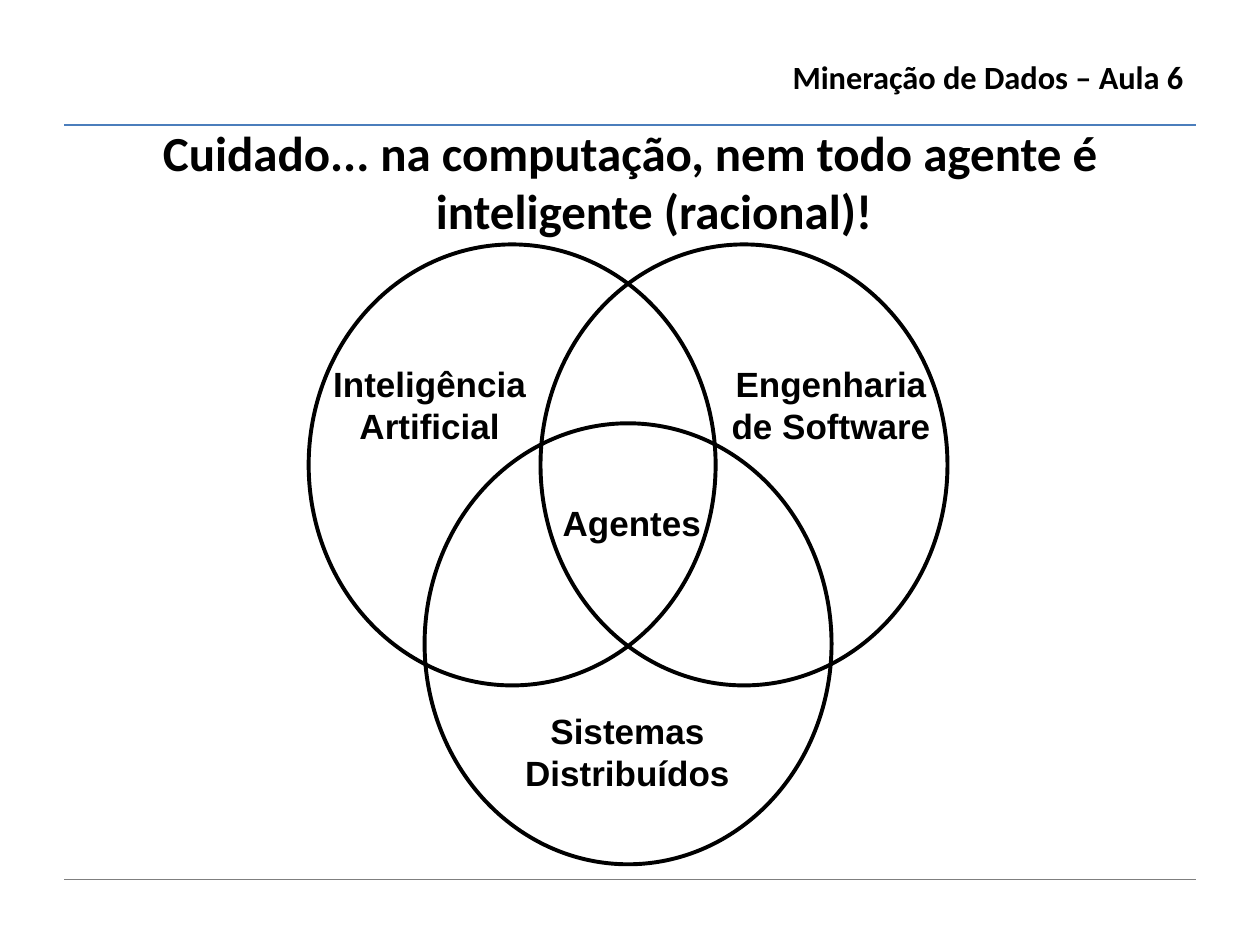
import pptx
import pptx.util
import pptx.dml.color
import pptx.enum.shapes
import pptx.enum.text
import lxml.etree

Inches = pptx.util.Inches
Align = pptx.enum.text.PP_ALIGN
colors = {"ink": "000000", "top_rule": "4B7EBC", "bottom_rule": "7F7F7F"}

deck = pptx.Presentation()
deck.slide_width = Inches(10)
deck.slide_height = Inches(7.5)
page = deck.slides.add_slide(deck.slide_layouts[6])
margin = 0.51
content_width = 10 - 2 * margin


def color(name):
    return pptx.dml.color.RGBColor.from_string(colors[name])


def add_text(area, lines, font, size, align, wrap=False, hanging=0, spacing=None):
    box = page.shapes.add_textbox(*[Inches(value) for value in area])
    frame = box.text_frame
    frame.word_wrap = wrap
    frame.text = "\n".join(lines)
    for para in frame.paragraphs:
        para.alignment = align
        para.line_spacing = spacing
        if hanging:
            properties = para._p.get_or_add_pPr()
            properties.set("marL", str(Inches(hanging)))
            properties.set("indent", str(-Inches(hanging)))
        for span in para.runs:
            span.font.name = font
            span.font.size = pptx.util.Pt(size)
            span.font.bold = True
            span.font.color.rgb = color("ink")


for name, height, weight in [("top_rule", 0.99, 1), ("bottom_rule", 6.98, 0.5)]:
    rule = page.shapes.add_connector(
        pptx.enum.shapes.MSO_CONNECTOR.STRAIGHT,
        Inches(margin), Inches(height), Inches(10 - margin), Inches(height))
    rule.line.color.rgb = color(name)
    rule.line.width = pptx.util.Pt(weight)
    lxml.etree.SubElement(rule._element.spPr, pptx.oxml.ns.qn("a:effectLst"))

add_text((2.01, 0.44, 7.48, 0.39), ["Mineração de Dados – Aula 6"],
         "Calibri", 18.5, Align.RIGHT, True, 0.38, 0.9)
add_text((margin, 0.92, content_width, 0.55),
         ["Cuidado... na computação, nem todo agente é inteligente (racional)!"],
         "Calibri", 28, Align.CENTER, True, 0.38)

circle_width, circle_height = 3.23, 3.5
for left, top in [(2.45, 1.94), (4.29, 1.94), (3.37, 3.36)]:
    circle = page.shapes.add_shape(
        pptx.enum.shapes.MSO_SHAPE.OVAL,
        Inches(left), Inches(top), Inches(circle_width), Inches(circle_height))
    circle.shadow.inherit = False
    circle.fill.background()
    circle.line.color.rgb = color("ink")
    circle.line.width = pptx.util.Pt(2.25)

labels = [
    ((2.54, 2.83, 1.74, 0.77), ["Inteligência", "Artificial"]),
    ((5.7, 2.83, 1.79, 0.77), ["Engenharia", "de Software"]),
    ((4.06, 5.58, 1.84, 0.77), ["Sistemas", "Distribuídos"]),
    ((4.36, 3.93, 1.31, 0.44), ["Agentes"]),
]
for area, lines in labels:
    add_text(area, lines, "Arial", 20, Align.CENTER)

deck.save("out.pptx")
